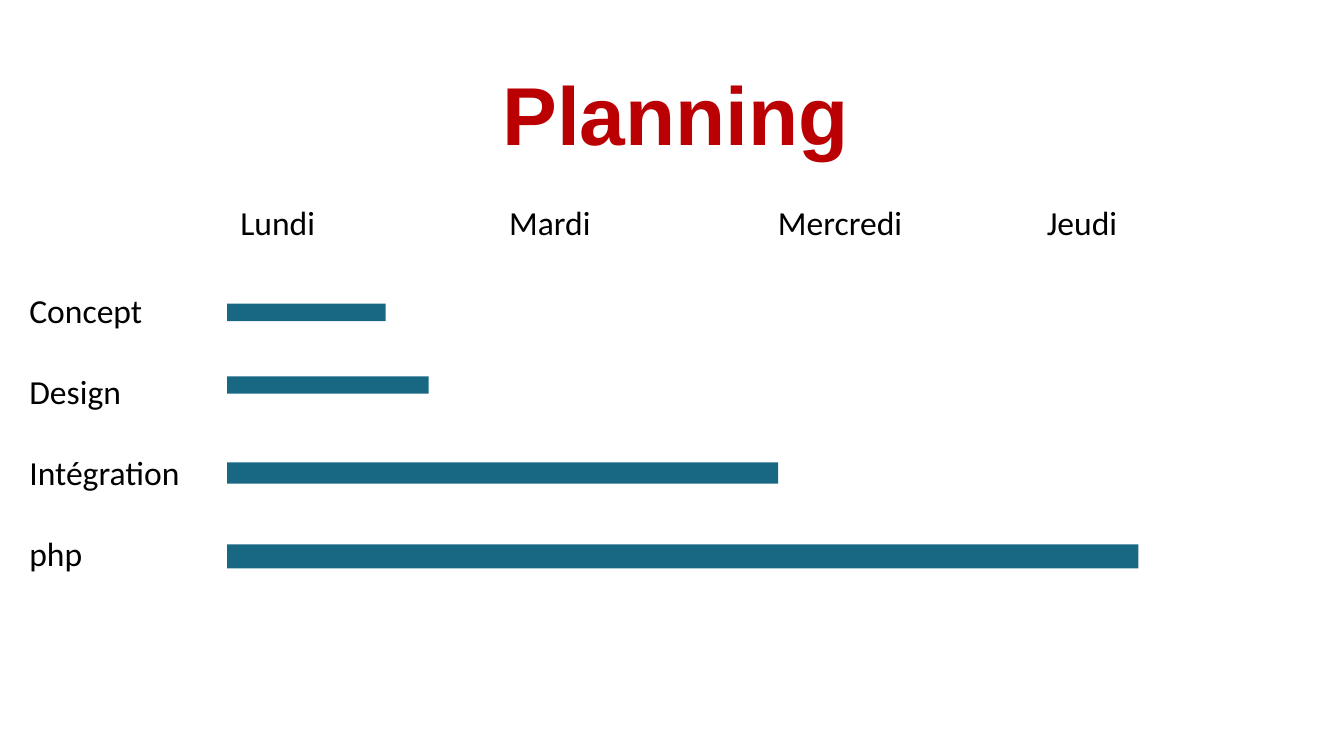
from lxml import etree
from pptx import Presentation
from pptx.dml.color import RGBColor
from pptx.enum.shapes import MSO_SHAPE
from pptx.enum.text import MSO_ANCHOR, PP_ALIGN
from pptx.oxml.ns import qn
from pptx.util import Inches, Pt

DAYS = ["Lundi", "Mardi", "Mercredi", "Jeudi"]
DAY_WIDTH = 2
# Task, bar top from the top of the task list, bar length, bar thickness
TASKS = [
    ("Concept", 0.15, 1.18, 0.13),
    ("Design", 0.69, 1.5, 0.13),
    ("Intégration", 1.33, 4.1, 0.16),
    ("php", 1.94, 6.78, 0.18),
]


def rgb(hex_color):
    return RGBColor.from_string(hex_color)


def add_text(slide, box, text, size=18, font="Calibri", color="000000", bold=False):
    frame = slide.shapes.add_textbox(*map(Inches, box)).text_frame
    frame.word_wrap = True
    frame.text = text
    for paragraph in frame.paragraphs:
        for run in paragraph.runs:
            run.font.size = Pt(size)
            run.font.name = font
            run.font.bold = bold
            run.font.color.rgb = rgb(color)
    return frame


def add_title(slide, box):
    frame = add_text(slide, box, "Planning", 44, "Arial", "BA0003", True)
    frame.vertical_anchor = MSO_ANCHOR.MIDDLE
    frame.paragraphs[0].alignment = PP_ALIGN.CENTER


def add_day_header(slide, box):
    """Write the days on one line, with a tab stop for each day after the first."""
    frame = add_text(slide, box, "\t".join(DAYS))
    properties = frame.paragraphs[0]._p.get_or_add_pPr()
    tab_list = etree.SubElement(properties, qn("a:tabLst"))
    for day in range(1, len(DAYS)):
        etree.SubElement(tab_list, qn("a:tab"), pos=str(Inches(day * DAY_WIDTH)), algn="l")


def add_task_list(slide, box):
    frame = add_text(slide, box, "\n".join(task for task, *_ in TASKS))
    for paragraph in frame.paragraphs[1:]:
        paragraph.space_before = Pt(21.8)


def add_bars(slide, left, top):
    for _, offset, length, thickness in TASKS:
        bar = slide.shapes.add_shape(
            MSO_SHAPE.RECTANGLE,
            Inches(left), Inches(top + offset), Inches(length), Inches(thickness),
        )
        bar.shadow.inherit = False
        bar.fill.solid()
        bar.fill.fore_color.rgb = rgb("186884")
        bar.line.fill.background()


def main():
    presentation = Presentation()
    presentation.slide_width = Inches(10)
    presentation.slide_height = presentation.slide_width * 9 // 16
    slide = presentation.slides.add_slide(presentation.slide_layouts[6])

    chart_left, chart_top = 1.69, 2.11
    add_title(slide, (0.78, 0.23, 8.5, 1.21))
    add_day_header(slide, (chart_left, 1.45, 9.02, 0.4))
    add_task_list(slide, (0.12, chart_top, 1.42, 2.22))
    add_bars(slide, chart_left, chart_top)
    presentation.save("out.pptx")


if __name__ == "__main__":
    main()
